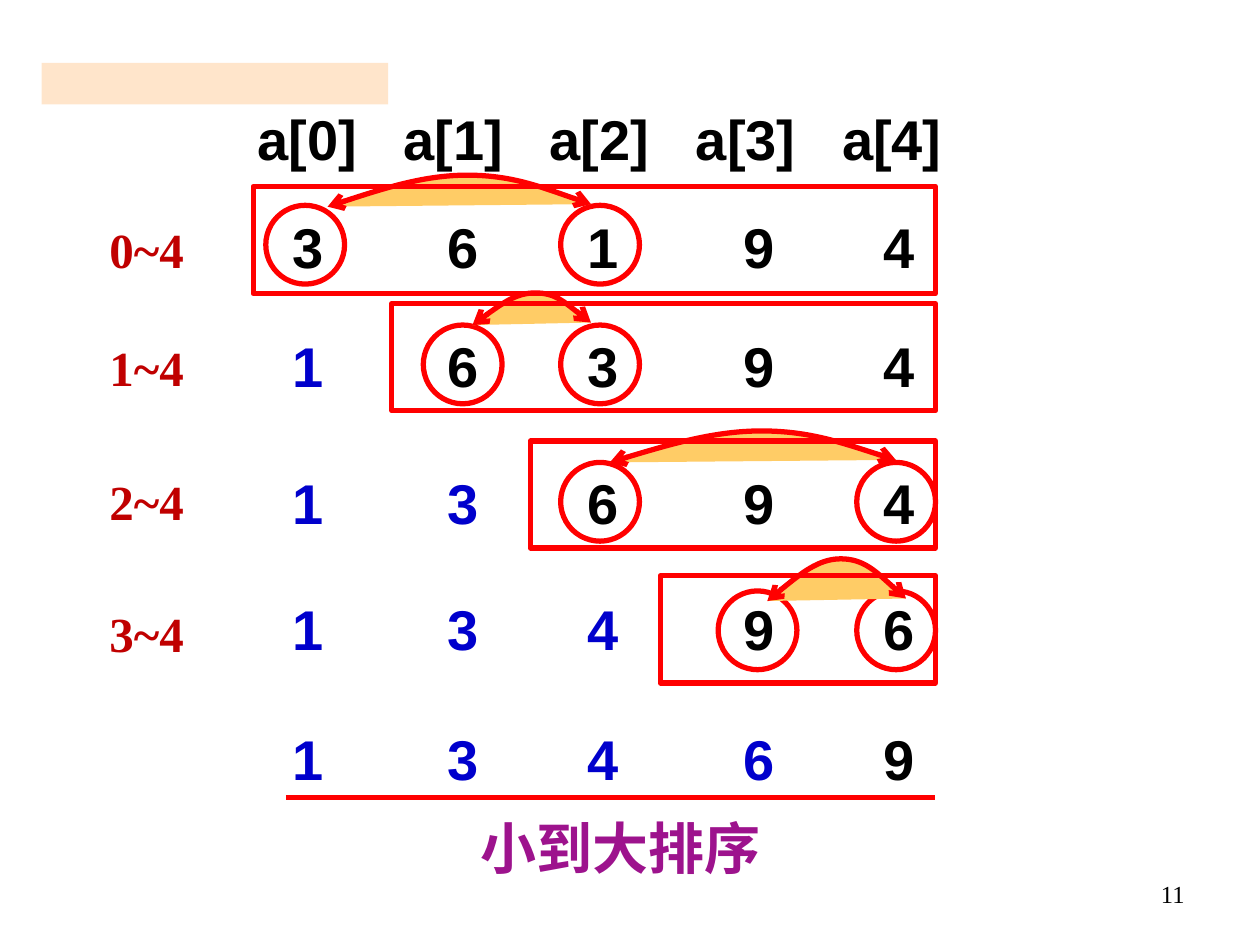
from collections import namedtuple
from lxml import etree
from pptx import Presentation, util as u
from pptx.dml.color import RGBColor
from pptx.enum import shapes, text
from pptx.oxml import ns

THEME = {
    "black": "000000", "blue": "0000CC", "red": "FF0000", "brick": "C00000",
    "plum": "9D138D", "gold": "FFCC66", "peach": "FFCC99",
    "sans": "Arial", "serif": "Times New Roman",
    "big": 32, "mid": 28, "small": 14, "line": 3,
}
COLS, ROWS = 100, 75
RING = 6.25
RINGS = [21.1, 33.6, 44.5, 57, 68]
STOPS = [7.41, 19.76, 30.88, 43.23, 54.34]
HEADS = [4.65 + 11.6 * i for i in range(5)]
RIGHT = 74.25

# Arc is left, right, foot and crest, in grid units.
Step = namedtuple("Step", "top nums done swap ring arc frame label")
STEPS = [
    Step(16.4, "36194", 0, (0, 2), 16.3, (26, 46.9, 16.4, 13.9), (20.1, 14.8), 16.9),
    Step(25.8, "16394", 1, (1, 2), 25.8, (37.5, 46.9, 25.8, 23.25), (31.1, 24.1), 26.3),
    Step(36.7, "13694", 2, (2, 4), 36.7, (48.4, 71.1, 36.7, 34.2), (42.1, 35), 36.9),
    Step(46.7, "13496", 3, (3, 4), 46.9, (60.9, 71.9, 47.7, 44.35), (52.4, 45.7), 47.4),
]


def rgb(name):
    return RGBColor.from_string(THEME[name])


def add(parent, tag, **attrs):
    return etree.SubElement(parent, ns.qn(tag), attrs)


class Deck:
    def __init__(self):
        self.prs = Presentation()
        self.prs.slide_width, self.prs.slide_height = u.Inches(10), u.Inches(7.5)
        self.slide = self.prs.slides.add_slide(self.prs.slide_layouts[6])
        self.items = self.slide.shapes

    def grid(self, x, y):
        return (round(self.prs.slide_width * x / COLS),
                round(self.prs.slide_height * y / ROWS))

    def text(self, x, y, w, h, runs, stops=(), align="LEFT", size="big", face="sans", bold=True):
        """Write runs of (words, colour) in one line, with left tabs at stops."""
        box = self.items.add_textbox(*self.grid(x, y), *self.grid(w, h))
        frame = box.text_frame
        frame.word_wrap = True
        para = frame.paragraphs[0]
        para.alignment = getattr(text.PP_ALIGN, align)
        if stops:
            tabs = add(para._p.get_or_add_pPr(), "a:tabLst")
            for stop in stops:
                add(tabs, "a:tab", pos=str(self.grid(stop, 0)[0]), algn="l")
        style = {"name": THEME[face], "size": u.Pt(THEME[size]), "bold": bold}
        for words, hue in runs:
            run = para.add_run()
            run.text = words
            for key, value in style.items():
                setattr(run.font, key, value)
            run.font.color.rgb = rgb(hue)

    def cells(self, y, words, stops, done=0):
        """Set words at the stops, the first done of them in blue."""
        tabbed = ["\t" + word for word in words]
        parts = [("".join(tabbed[:done]), "blue"), ("".join(tabbed[done:]), "black")]
        self.text(14.8, y, 65.6, 6.4, [part for part in parts if part[0]], stops)

    def stroke(self, item):
        item.line.color.rgb = rgb("red")
        item.line.width = u.Pt(THEME["line"])

    def shape(self, kind, x, y, w, h):
        item = self.items.add_shape(getattr(shapes.MSO_SHAPE, kind),
                                    *self.grid(x, y), *self.grid(w, h))
        item.shadow.inherit = False
        return item

    def ring(self, kind, *place):
        item = self.shape(kind, *place)
        item.fill.background()
        self.stroke(item)

    def bar(self, *place):
        item = self.shape("RECTANGLE", *place)
        item.fill.solid()
        item.fill.fore_color.rgb = rgb("peach")
        item.line.fill.background()
        hue = next(item._element.spPr.iter(ns.qn("a:srgbClr")))
        add(hue, "a:alpha", val="50000")

    def arc(self, left, right, foot, crest):
        """Draw two Bezier curves that rise to the crest and fall to the right."""
        wide, half = right - left, (foot + crest) / 2
        shares = [(0.18, half), (0.37, crest), (0.53, crest),
                  (0.7, crest), (0.85, half), (1, foot - 0.2)]
        pen = self.items.build_freeform(*self.grid(left, foot))
        pen.add_line_segments([self.grid(left + wide * s, y) for s, y in shares], close=False)
        item = pen.convert_to_shape()
        item.shadow.inherit = False
        item.fill.solid()
        item.fill.fore_color.rgb = rgb("gold")
        self.stroke(item)
        lines = list(item._element.spPr.iter(ns.qn("a:lnTo")))
        track = lines[0].getparent()
        for i in range(0, len(lines), 3):
            curve = add(track, "a:cubicBezTo")
            for line in lines[i:i + 3]:
                curve.append(line[0])
                track.remove(line)
        for end in ("a:headEnd", "a:tailEnd"):
            add(item.line._get_or_add_ln(), end, type="arrow")

    def rule(self, x1, x2, y):
        item = self.items.add_connector(shapes.MSO_CONNECTOR.STRAIGHT,
                                        *self.grid(x1, y), *self.grid(x2, y))
        self.stroke(item)
        add(item._element.spPr, "a:effectLst")


def main():
    deck = Deck()
    deck.text(71.7, 69.3, 23.3, 5.2, [("11", "black")],
              align="RIGHT", size="small", face="serif", bold=False)
    deck.bar(3.3, 5, 27.5, 3.3)
    deck.cells(7.8, [f"a[{i}]" for i in range(5)], HEADS)
    for step in STEPS:
        deck.cells(step.top, step.nums, STOPS, step.done)
        for col in step.swap:
            deck.ring("OVAL", RINGS[col], step.ring, RING, RING)
        deck.arc(*step.arc)
    deck.cells(57, "13469", STOPS, 4)
    deck.text(29.7, 64.1, 39.1, 6.4, [("小到大排序", "plum")], align="CENTER")
    deck.rule(22.7, 74.2, 63.3)
    for i, step in enumerate(STEPS):
        deck.text(7.7, step.label, 10.4, 5.7, [(f"{i}~4", "brick")], size="mid", face="serif")
        left, top = step.frame
        deck.ring("FLOWCHART_PROCESS", left, top, RIGHT - left, 8.5)
    deck.prs.save("out.pptx")


if __name__ == "__main__":
    main()
